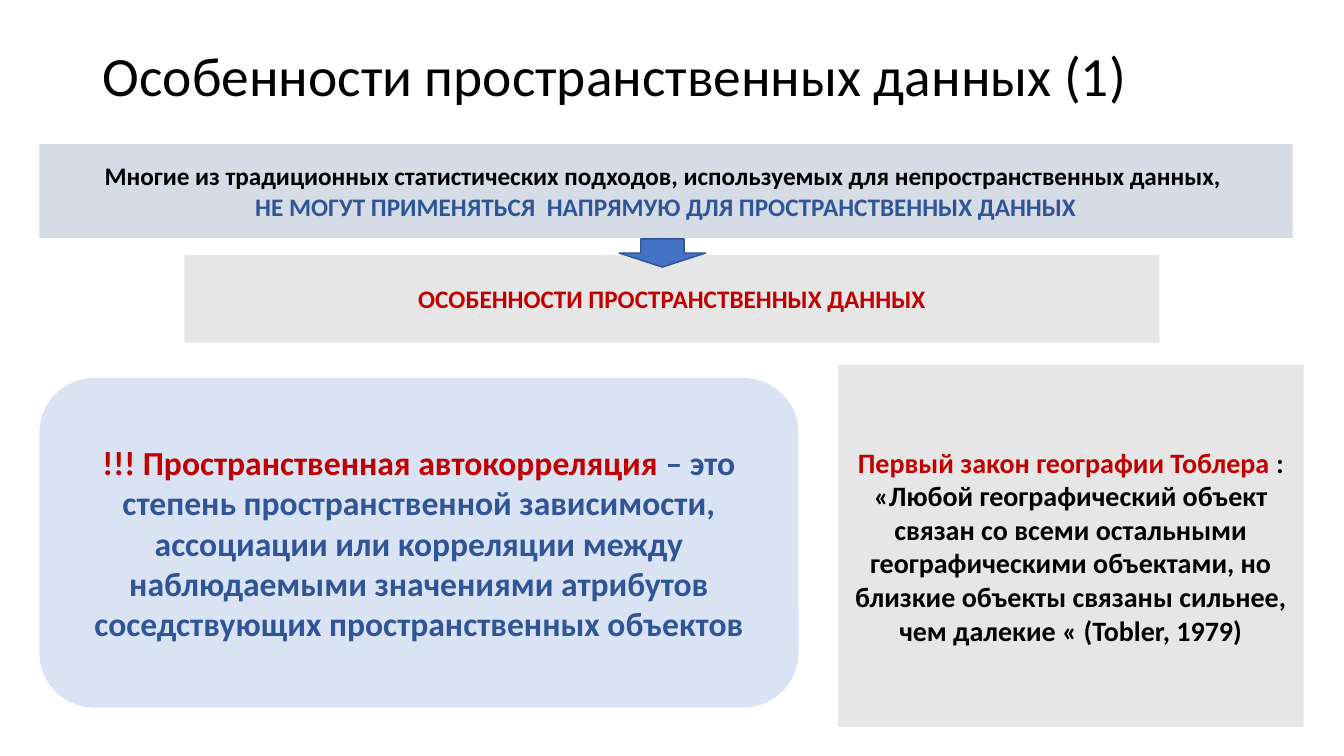
from pptx import Presentation
from pptx import util as u
from pptx.dml.color import RGBColor
from pptx.enum import shapes, text

BLACK, RED, BLUE = "000000", "C00000", "2F5597"
GREY = "E7E6E6"
KIND = shapes.MSO_SHAPE


def colour(value):
    return RGBColor.from_string(value)


def place(shape, bounds):
    shape.left, shape.top, shape.width, shape.height = map(u.Inches, bounds)


def add_span(para, content, size, ink, bold=False):
    span = para.add_run()
    span.text = content
    font = span.font
    font.name, font.size, font.bold = "Calibri", u.Pt(size), bold
    font.color.rgb = colour(ink)


def add_title(page, content):
    title = page.shapes.title
    place(title, (0.92, 0.4, 11.5, 0.76))
    frame = title.text_frame
    frame.word_wrap = True
    frame.auto_size = text.MSO_AUTO_SIZE.NONE
    frame.vertical_anchor = text.MSO_ANCHOR.MIDDLE
    para = frame.paragraphs[0]
    para.alignment = text.PP_ALIGN.LEFT
    para.line_spacing = 0.9
    add_span(para, content, size=39.6, ink=BLACK)


def add_block(page, kind, bounds, fill, line=None):
    box = page.shapes.add_shape(kind, *map(u.Inches, bounds))
    box.shadow.inherit = False
    box.fill.solid()
    box.fill.fore_color.rgb = colour(fill)
    if line:
        box.line.color.rgb = colour(line)
        box.line.width = u.Pt(1)
    else:
        box.line.fill.background()
    return box


def write(box, paragraphs, size):
    """Fill a box with centred bold paragraphs, each a list of (text, colour)."""
    frame = box.text_frame
    frame.word_wrap = True
    frame.vertical_anchor = text.MSO_ANCHOR.MIDDLE
    for index, spans in enumerate(paragraphs):
        para = frame.add_paragraph() if index else frame.paragraphs[0]
        para.alignment = text.PP_ALIGN.CENTER
        for content, ink in spans:
            add_span(para, content, size, ink, bold=True)


def main():
    deck = Presentation()
    deck.slide_width, deck.slide_height = u.Inches(13.33), u.Inches(7.5)
    page = deck.slides.add_slide(deck.slide_layouts[5])
    add_title(page, "Особенности пространственных данных (1)")

    premise = add_block(page, KIND.RECTANGLE, (0.39, 1.43, 12.43, 0.93), "D6DCE5")
    write(premise, [
        [("Многие из традиционных статистических подходов, используемых "
          "для непространственных данных, ", BLACK)],
        [("НЕ МОГУТ ПРИМЕНЯТЬСЯ  НАПРЯМУЮ ДЛЯ ПРОСТРАНСТВЕННЫХ ДАННЫХ", BLUE)],
    ], size=18)

    heading = add_block(page, KIND.RECTANGLE, (1.83, 2.53, 9.67, 0.87), GREY)
    write(heading, [[("ОСОБЕННОСТИ ПРОСТРАНСТВЕННЫХ ДАННЫХ", RED)]], size=18)

    add_block(page, KIND.DOWN_ARROW, (6.14, 2.37, 0.86, 0.28), "4472C4", line="325491")

    definition = add_block(page, KIND.ROUNDED_RECTANGLE, (0.39, 3.75, 7.53, 3.27), "DAE3F3")
    write(definition, [[
        ("!!! Пространственная автокорреляция ", RED),
        ("– это степень пространственной зависимости, ассоциации или корреляции "
         "между наблюдаемыми значениями атрибутов соседствующих "
         "пространственных объектов", BLUE),
    ]], size=24)

    law = add_block(page, KIND.RECTANGLE, (8.31, 3.62, 4.62, 3.59), GREY)
    write(law, [[
        ("Первый закон географии Тоблера ", RED),
        (": «Любой географический объект связан со всеми остальными "
         "географическими объектами, но близкие объекты связаны сильнее, "
         "чем далекие « (Tobler, 1979)", BLACK),
    ]], size=20)

    deck.save("out.pptx")


if __name__ == "__main__":
    main()
